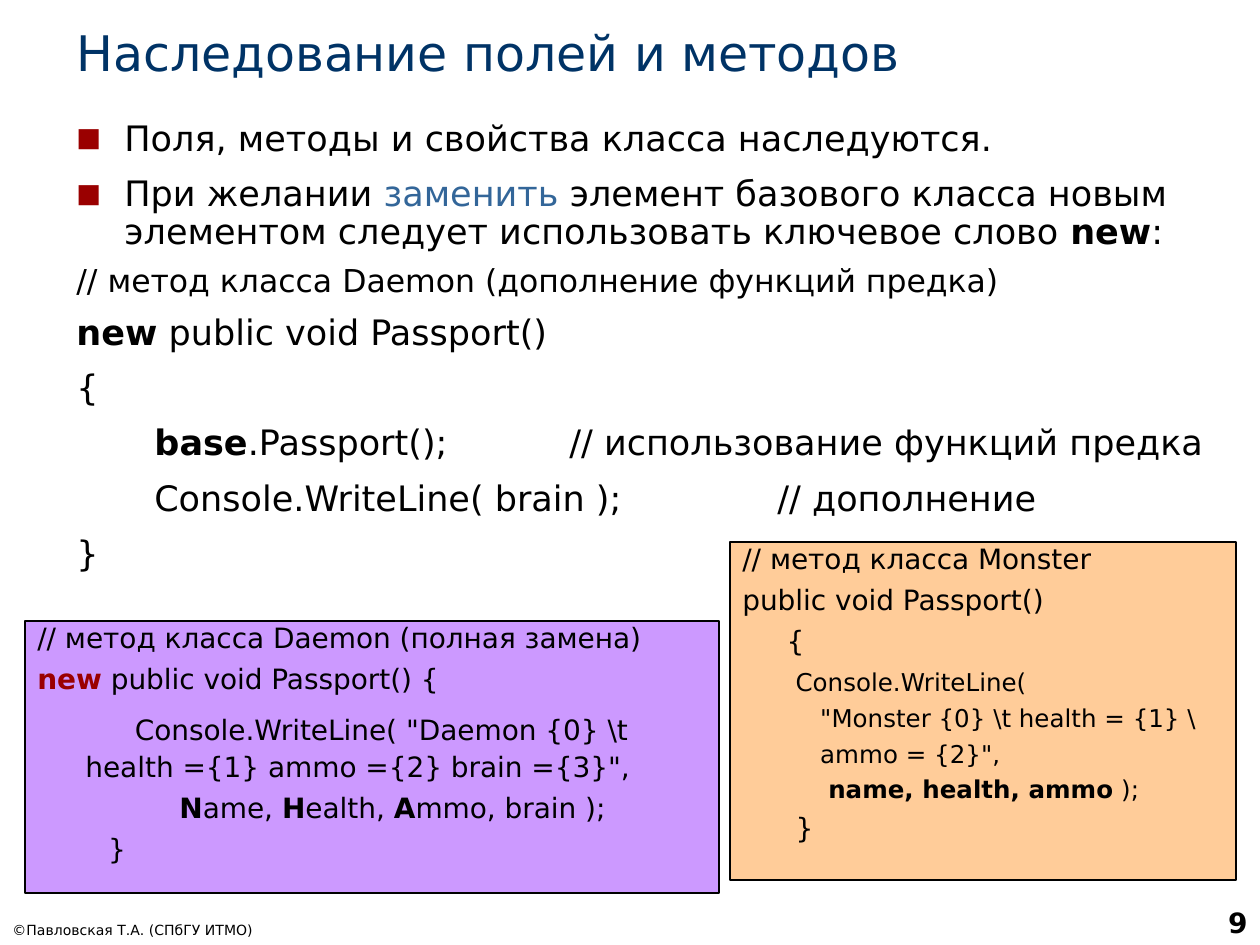
"""Builds a lecture slide on inheriting fields and methods in C#."""
from pptx import Presentation
from pptx.dml.color import RGBColor
from pptx.enum.shapes import MSO_SHAPE
from pptx.enum.text import MSO_ANCHOR, PP_ALIGN
from pptx.oxml.ns import qn
from pptx.util import Pt
from lxml import etree

RECTANGLE = MSO_SHAPE.RECTANGLE
TOP, BOTTOM = MSO_ANCHOR.TOP, MSO_ANCHOR.BOTTOM
LEFT, RIGHT = PP_ALIGN.LEFT, PP_ALIGN.RIGHT
EMU_PER_PX = 914400 / 126
HANG = 48

THEME = {
    "font": "DejaVu Sans",
    "outline": "000000",
    "bullet": "9A0000",
    "title": 28, "body": 20, "comment": 18, "code": 16, "small": 14,
    "number": 16, "credit": 8,
    "space_before": 0.31, "space_after": 0.187,
    "styles": {
        "plain": {"color": "000000"},
        "bold": {"color": "000000", "bold": True},
        "heading": {"color": "003366"},
        "term": {"color": "336699"},
        "keyword": {"color": "9A0000", "bold": True},
        "indent": {"color": "000000", "size": "code"},
    },
}


def para(size, *runs, line=0.8, hang=False, bullet=False, tab=None):
    return {"size": size, "runs": runs, "line": line, "hang": hang,
            "bullet": bullet, "tab": tab}


BODY = [
    para("body", "Поля, методы и свойства класса наследуются.",
         line=0.9, hang=True, bullet=True),
    para("body", "При желании ", ("заменить", "term"),
         " элемент базового класса новым элементом следует использовать ключевое слово ",
         ("new", "bold"), ":", line=0.9, hang=True, bullet=True),
    para("comment", "// метод класса Daemon (дополнение функций предка)"),
    para("body", ("new", "bold"), " public void Passport()", line=0.9),
    para("body", "{", line=0.9),
    para("body", "       ", ("base", "bold"),
         ".Passport();\t// использование функций предка", line=0.9, tab=493),
    para("body", "       Console.WriteLine( brain );\t// дополнение", line=0.9, tab=701),
    para("body", "}", line=0.9),
]
MONSTER = [
    para("code", "// метод класса Monster"),
    para("code", "public void Passport()"),
    para("code", "     {"),
    para("small", ("      ", "indent"), "Console.WriteLine("),
    para("small", '          "Monster {0} \\t health = {1} \\'),
    para("small", '          ammo = {2}",'),
    para("small", "           ", ("name, health, ammo", "bold"), " );"),
    para("code", "      }"),
]
DAEMON = [
    para("code", "// метод класса Daemon (полная замена)"),
    para("code", ("new", "keyword"), " public void Passport() {"),
    para("code", '           Console.WriteLine( "Daemon {0} \\t health ={1} ammo ={2} brain ={3}",',
         line=1.1, hang=True),
    para("code", "                ", ("N", "bold"), "ame, ", ("H", "bold"), "ealth, ",
         ("A", "bold"), "mmo, brain );"),
    para("code", "        }"),
]
TITLE = [para("title", ("Наследование полей и методов", "heading"), line=1.0)]
CREDIT = [para("credit", "©Павловская Т.А. (СПбГУ ИТМО)", line=1.0)]
NUMBER = [para("number", ("9", "bold"), line=1.0)]

PARTS = [
    {"box": (0, 910, 392, 35), "text": CREDIT, "anchor": BOTTOM},
    {"box": (998, 882, 262, 63), "text": NUMBER, "anchor": BOTTOM, "align": RIGHT},
    {"box": (64, 16, 1181, 72), "text": TITLE, "anchor": BOTTOM},
    {"box": (64, 115, 1179, 476), "text": BODY},
    {"box": (730, 542, 506, 338), "text": MONSTER, "fill": "FFCC99"},
    {"box": (25, 621, 694, 272), "text": DAEMON, "fill": "CC99FF"},
]


def px(length):
    return round(length * EMU_PER_PX)


def rgb(value):
    return RGBColor.from_string(value)


def add_child(parent, tag, **attributes):
    child = etree.SubElement(parent, qn(tag))
    for key, value in attributes.items():
        child.set(key, str(value))
    return child


def format_paragraph(paragraph, content, is_first, align):
    props = paragraph._p.get_or_add_pPr()
    if content["hang"]:
        props.set("marL", str(px(HANG)))
        props.set("indent", str(-px(HANG)))
    if content["bullet"]:
        add_child(add_child(props, "a:buClr"), "a:srgbClr", val=THEME["bullet"])
        add_child(props, "a:buSzPct", val=75000)
        add_child(props, "a:buFont", typeface=THEME["font"])
        add_child(props, "a:buChar", char="■")
    if content["tab"]:
        add_child(add_child(props, "a:tabLst"), "a:tab", pos=px(content["tab"]), algn="l")
    size = THEME[content["size"]]
    paragraph.alignment = align
    paragraph.line_spacing = content["line"]
    paragraph.space_before = Pt(0 if is_first else round(size * THEME["space_before"], 1))
    paragraph.space_after = Pt(round(size * THEME["space_after"], 1))


def add_runs(paragraph, content):
    for piece in content["runs"]:
        text, style_name = (piece, "plain") if isinstance(piece, str) else piece
        style = THEME["styles"][style_name]
        run = paragraph.add_run()
        run.text = text
        run.font.name = THEME["font"]
        run.font.size = Pt(THEME[style.get("size", content["size"])])
        run.font.bold = style.get("bold", False)
        run.font.color.rgb = rgb(style["color"])


def add_part(slide, part):
    box = [px(length) for length in part["box"]]
    if "fill" in part:
        holder = slide.shapes.add_shape(RECTANGLE, *box)
        holder.shadow.inherit = False
        holder.fill.solid()
        holder.fill.fore_color.rgb = rgb(part["fill"])
        holder.line.color.rgb = rgb(THEME["outline"])
        holder.line.width = Pt(0.75)
    else:
        holder = slide.shapes.add_textbox(*box)
    frame = holder.text_frame
    frame.word_wrap = True
    frame.vertical_anchor = part.get("anchor", TOP)
    for index, content in enumerate(part["text"]):
        paragraph = frame.add_paragraph() if index else frame.paragraphs[0]
        format_paragraph(paragraph, content, index == 0, part.get("align", LEFT))
        add_runs(paragraph, content)


def main():
    deck = Presentation()
    deck.slide_width, deck.slide_height = px(1260), px(945)
    slide = deck.slides.add_slide(deck.slide_layouts[6])
    for part in PARTS:
        add_part(slide, part)
    deck.save("out.pptx")


if __name__ == "__main__":
    main()
